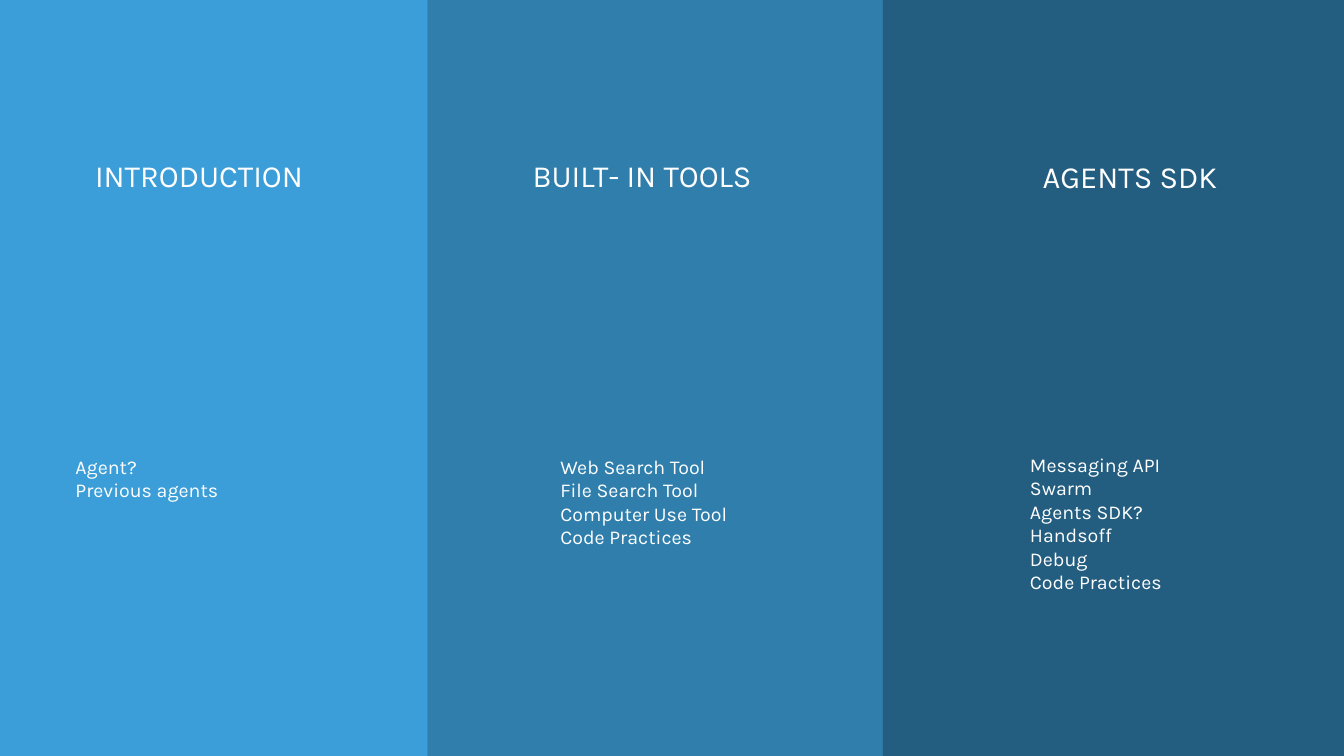
from pptx import Presentation
from pptx.dml.color import RGBColor
from pptx.enum.shapes import MSO_SHAPE
from pptx.enum.text import MSO_ANCHOR, MSO_AUTO_SIZE, PP_ALIGN
from pptx.util import Pt

RECTANGLE = MSO_SHAPE.RECTANGLE
MIDDLE, TOP = MSO_ANCHOR.MIDDLE, MSO_ANCHOR.TOP
CENTER, LEFT = PP_ALIGN.CENTER, PP_ALIGN.LEFT
FIT_SHAPE = MSO_AUTO_SIZE.SHAPE_TO_FIT_TEXT
SLIDE_WIDTH, SLIDE_HEIGHT = 960, 540
HEADING_HEIGHT = 34
TOPICS_WIDTH, LINE_HEIGHT, PADDING = 174.2, 16.9, 7.2


def color(hex_code):
    return RGBColor.from_string(hex_code)


def add_text(lines, left, top, width, height, size, align, anchor, wrap):
    box = slide.shapes.add_textbox(Pt(left), Pt(top), Pt(width), Pt(height))
    frame = box.text_frame
    frame.text = "\n".join(lines)
    frame.word_wrap = wrap
    frame.auto_size = FIT_SHAPE
    frame.vertical_anchor = anchor
    for paragraph in frame.paragraphs:
        paragraph.alignment = align
        for run in paragraph.runs:
            run.font.name = "Karla"
            run.font.size = Pt(size)
            run.font.color.rgb = color("FFFFFF")


presentation = Presentation()
presentation.slide_width = Pt(SLIDE_WIDTH)
presentation.slide_height = Pt(SLIDE_HEIGHT)
slide = presentation.slides.add_slide(presentation.slide_layouts[6])
slide.background.fill.solid()
slide.background.fill.fore_color.rgb = color("8496B0")

# Panel left, width and fill; heading, its left, top and width; topics, their left and top
sections = [
    (0, 305.3, "3B9ED8", "INTRODUCTION", 56.9, 108, 170.6,
     ["Agent?", "Previous agents"], 46.8, 321.3),
    (305.3, 365, "2F7EAC", "BUILT- IN TOOLS", 362.9, 108, 191.5,
     ["Web Search Tool", "File Search Tool", "Computer Use Tool", "Code Practices"],
     393.1, 321.1),
    (630.7, 329.3, "235E81", "AGENTS SDK", 727.2, 108.7, 159.8,
     ["Messaging API", "Swarm", "Agents SDK?", "Handsoff", "Debug", "Code Practices"],
     728.6, 319.7),
]

for (panel_left, panel_width, fill, heading, heading_left, heading_top,
     heading_width, topics, topics_left, topics_top) in sections:
    # Coloured panel
    panel = slide.shapes.add_shape(
        RECTANGLE, Pt(panel_left), Pt(0), Pt(panel_width), Pt(SLIDE_HEIGHT))
    panel.shadow.inherit = False
    panel.fill.solid()
    panel.fill.fore_color.rgb = color(fill)
    panel.line.fill.background()

    # Heading and topic list
    add_text([heading], heading_left, heading_top, heading_width, HEADING_HEIGHT,
             22, CENTER, MIDDLE, False)
    add_text(topics, topics_left, topics_top, TOPICS_WIDTH,
             len(topics) * LINE_HEIGHT + PADDING, 14, LEFT, TOP, True)

presentation.save("out.pptx")
